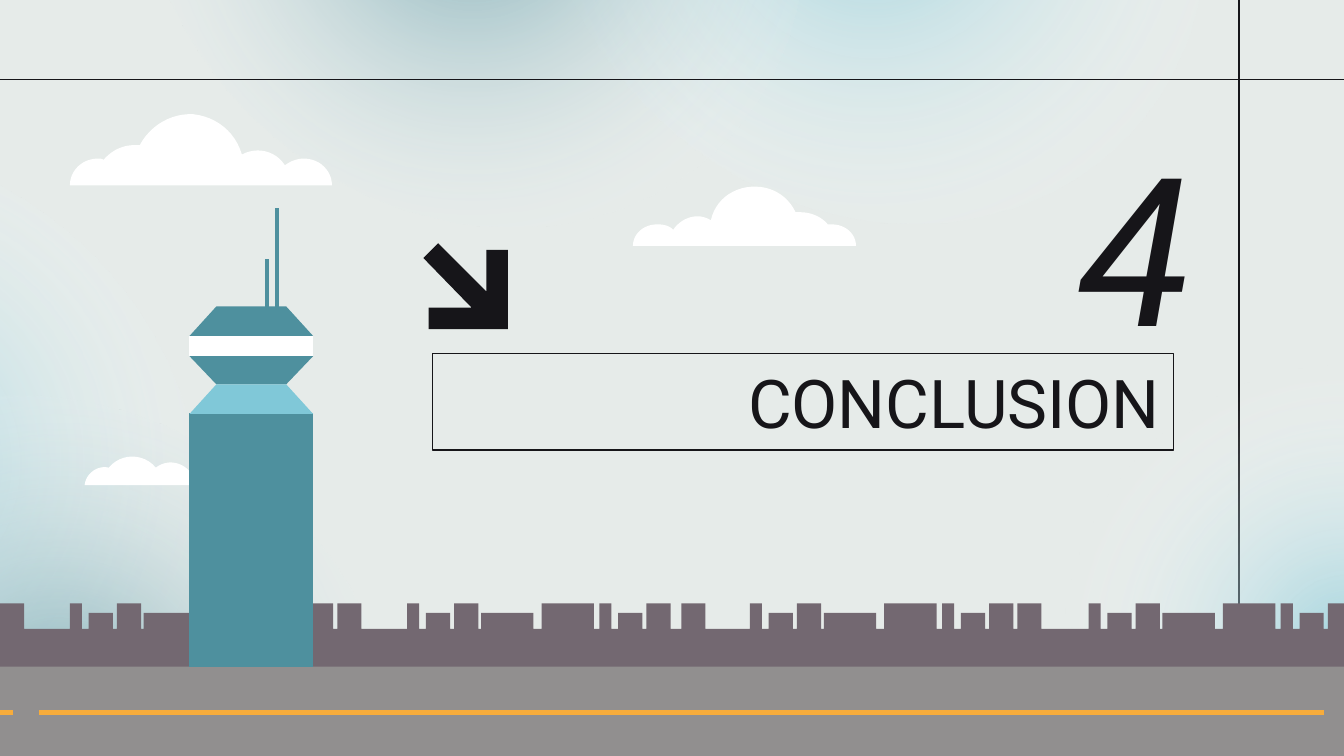
from lxml import etree
from pptx import Presentation
from pptx.dml.color import RGBColor
from pptx.enum import shapes, text
from pptx.oxml import parse_xml
from pptx.oxml.ns import nsdecls, qn
from pptx.util import Inches, Pt

COLORS = {
    "sky": "E6EBE9", "ink": "161519", "teal": "4E909E", "aqua": "80C8D8",
    "white": "FFFFFF", "city": "736871", "road": "918F8F", "lane": "F7AC3B",
}

prs = Presentation()
prs.slide_width = Inches(10)
prs.slide_height = Inches(10) * 9 // 16
slide = prs.slides.add_slide(prs.slide_layouts[6])
slide.background.fill.solid()
slide.background.fill.fore_color.rgb = RGBColor.from_string(COLORS["sky"])


def outline(points, color):
    """Draw a closed, filled polygon through points given in inches."""
    corners = [(Inches(x), Inches(y)) for x, y in points]
    builder = slide.shapes.build_freeform(*corners[0], scale=1.0)
    builder.add_line_segments(corners[1:], close=True)
    shape = builder.convert_to_shape()
    shape.shadow.inherit = False
    shape.fill.solid()
    shape.fill.fore_color.rgb = RGBColor.from_string(COLORS[color])
    shape.line.fill.background()


def rule(x1, y1, x2, y2, color, width):
    """Draw a straight line between two points given in inches."""
    line = slide.shapes.add_connector(
        shapes.MSO_CONNECTOR.STRAIGHT, Inches(x1), Inches(y1), Inches(x2), Inches(y2))
    line.line.color.rgb = RGBColor.from_string(COLORS[color])
    line.line.width = Pt(width)
    etree.SubElement(line._element.spPr, qn("a:effectLst"))


# Vertical rule, behind the glows
rule(9.22, 6.25, 9.22, -0.32, "ink", 0.75)

# Soft radial glows: left, top, rotation, colour, opacity in percent
for left, top, angle, color, opacity in [
    (3.88, -3.08, 42, "aqua", 68), (0.9, -3.06, 42, "teal", 68),
    (6.11, 4.36, 356.7, "teal", 81), (7.42, 2.54, 356.7, "aqua", 68),
    (-3.65, 1.14, 33.5, "aqua", 68), (-2.18, 3.04, 33.5, "teal", 68),
]:
    glow = slide.shapes.add_shape(
        shapes.MSO_SHAPE.OVAL, Inches(left), Inches(top), Inches(5.22), Inches(4.6))
    glow.rotation = angle
    glow.shadow.inherit = False
    glow.line.fill.background()
    glow.fill.background()
    stops = "".join(
        f'<a:gs pos="{pos * 1000}"><a:srgbClr val="{COLORS[tint]}">'
        f'<a:alpha val="{alpha * 1000}"/></a:srgbClr></a:gs>'
        for pos, tint, alpha in [(0, color, opacity), (58, "white", 0), (100, "white", 0)])
    gradient = parse_xml(
        f'<a:gradFill {nsdecls("a")}><a:gsLst>{stops}</a:gsLst><a:path path="circle">'
        '<a:fillToRect l="50000" t="50000" r="50000" b="50000"/></a:path></a:gradFill>')
    properties = glow._element.spPr
    properties.replace(properties.find(qn("a:noFill")), gradient)

# Horizontal rule
rule(10.06, 0.59, -0.06, 0.59, "ink", 0.75)

# Skyline: one block of buildings (offset, width, roof) repeated
TALL, LOW, STREET = 4.49, 4.56, 4.68
block = [(0, 0.09, TALL), (0.14, 0.18, LOW), (0.35, 0.18, TALL), (0.55, 0.39, LOW),
         (1, 0.39, TALL), (1.43, 0.09, TALL), (1.57, 0.18, LOW), (1.78, 0.18, TALL)]
buildings = [(0, 0.18, TALL)]
for start in (0.52, 3.03, 5.58, 8.1):
    buildings += [(start + offset, width, roof) for offset, width, roof in block]
buildings += [(left, 0.18, TALL) for left in (2.51, 5.07, 7.57)]
skyline = [(0, 4.97)]
for left, width, roof in sorted(buildings):
    right = left + width
    skyline += [(left, STREET), (left, roof), (right, roof), (right, STREET)]
outline(skyline + [(10.06, 4.97)], "city")

# Road and its long lane mark
road = slide.shapes.add_shape(
    shapes.MSO_SHAPE.RECTANGLE, 0, Inches(4.96), Inches(10.06), Inches(0.7))
road.shadow.inherit = False
road.fill.solid()
road.fill.fore_color.rgb = RGBColor.from_string(COLORS["road"])
road.line.fill.background()
rule(0.29, 5.3, 9.85, 5.3, "lane", 2.56)

# Clouds: base corners, then Bezier puffs (two controls and an end) from the left corner
clouds = [
    ((2.47, 1.38), (0.52, 1.38), [
        (0.52, 1.27, 0.61, 1.18, 0.73, 1.18), (0.74, 1.18, 0.76, 1.18, 0.77, 1.19),
        (0.83, 1.12, 0.91, 1.08, 1, 1.08), (1.01, 1.08, 1.03, 1.08, 1.04, 1.08),
        (1.12, 0.93, 1.28, 0.84, 1.44, 0.85), (1.61, 0.87, 1.75, 0.98, 1.8, 1.15),
        (1.91, 1.09, 2.05, 1.12, 2.12, 1.23), (2.16, 1.2, 2.21, 1.18, 2.26, 1.18),
        (2.38, 1.18, 2.47, 1.27, 2.47, 1.38)]),
    ((6.37, 1.83), (4.71, 1.83), [
        (4.71, 1.74, 4.79, 1.67, 4.89, 1.67), (4.94, 1.67, 4.98, 1.68, 5.01, 1.71),
        (5.05, 1.65, 5.12, 1.61, 5.19, 1.61), (5.22, 1.61, 5.26, 1.62, 5.29, 1.64),
        (5.32, 1.5, 5.44, 1.4, 5.59, 1.39), (5.73, 1.38, 5.86, 1.45, 5.92, 1.58),
        (5.94, 1.58, 5.95, 1.58, 5.96, 1.58), (6.03, 1.58, 6.11, 1.61, 6.16, 1.67),
        (6.17, 1.67, 6.18, 1.67, 6.19, 1.67), (6.29, 1.67, 6.37, 1.74, 6.37, 1.83)]),
    ((1.59, 3.61), (0.63, 3.61), [
        (0.64, 3.52, 0.73, 3.46, 0.81, 3.48), (0.9, 3.37, 1.07, 3.37, 1.16, 3.48),
        (1.25, 3.41, 1.37, 3.44, 1.43, 3.53), (1.5, 3.5, 1.57, 3.54, 1.59, 3.61)]),
]
STEPS = 12
for right_corner, left_corner, puffs in clouds:
    edge = [right_corner, left_corner]
    for ax, ay, bx, by, end_x, end_y in puffs:
        x, y = edge[-1]
        for step in range(1, STEPS + 1):
            t = step / STEPS
            s = 1 - t
            edge.append((
                s**3 * x + 3 * s * s * t * ax + 3 * s * t * t * bx + t**3 * end_x,
                s**3 * y + 3 * s * s * t * ay + 3 * s * t * t * by + t**3 * end_y))
    outline(edge, "white")

# Section title and number
for words, left, top, width, height, size, italic, framed in [
    ("CONCLUSION", 3.22, 2.63, 5.51, 0.72, 36, False, True),
    ("4", 6.5, 1.23, 2.46, 1.17, 111, True, False),
]:
    heading = slide.shapes.add_textbox(
        Inches(left), Inches(top), Inches(width), Inches(height))
    if framed:
        heading.line.color.rgb = RGBColor.from_string(COLORS["ink"])
        heading.line.width = Pt(0.75)
    frame = heading.text_frame
    frame.word_wrap = True
    frame.vertical_anchor = text.MSO_ANCHOR.MIDDLE
    frame.margin_left = frame.margin_right = Inches(0.1)
    frame.margin_top = frame.margin_bottom = Inches(0.1)
    paragraph = frame.paragraphs[0]
    paragraph.alignment = text.PP_ALIGN.RIGHT
    run = paragraph.add_run()
    run.text = words
    run.font.name = "Roboto"
    run.font.size = Pt(size)
    run.font.italic = italic
    run.font.color.rgb = RGBColor.from_string(COLORS["ink"])

# Control tower: top and bottom of each band, with the inset of its upper and lower edge
LEFT, RIGHT, INSET = 1.41, 2.33, 0.2
for top, bottom, upper, lower, color in [
    (2.5, 2.65, 0, 0, "white"), (3.07, 4.96, 0, 0, "teal"),
    (2.65, 2.86, 0, INSET, "teal"), (2.28, 2.5, INSET, 0, "teal"),
    (2.86, 3.08, INSET, 0, "aqua"),
]:
    outline([(LEFT + upper, top), (LEFT + lower, bottom),
             (RIGHT - lower, bottom), (RIGHT - upper, top)], color)

# Antennas
for left, top in [(2.05, 1.55), (1.97, 1.93)]:
    outline([(left, top), (left, 2.38), (left + 0.03, 2.38), (left + 0.03, top)], "teal")

# Short lane mark and diagonal arrow
rule(0, 5.3, 0.1, 5.3, "lane", 2.56)
outline([(3.26, 1.81), (3.15, 1.92), (3.51, 2.29), (3.19, 2.29), (3.19, 2.45),
         (3.78, 2.45), (3.78, 1.86), (3.62, 1.86), (3.62, 2.17)], "ink")

prs.save("out.pptx")
